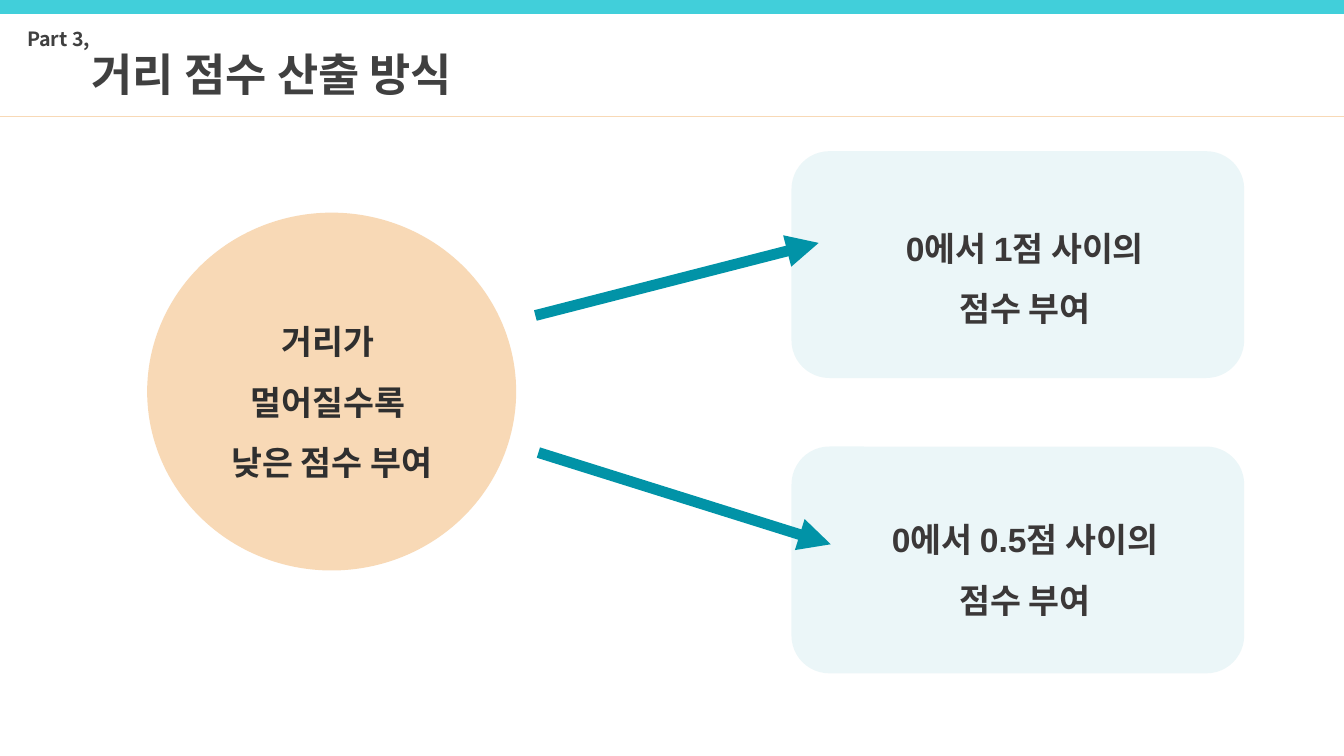
import pptx
import pptx.dml.color
import pptx.enum.shapes
import pptx.enum.text
import pptx.util
from lxml import etree
from pptx.oxml.ns import qn

WIDTH, HEIGHT = 13.33, 7.5
KOREAN_FONT = "Noto Sans CJK KR"
TEAL, PEACH, DARK_GRAY = "0193A7", "F8D9B6", "404040"
SHAPES = pptx.enum.shapes.MSO_SHAPE
ALIGN = pptx.enum.text.PP_ALIGN
ANCHOR = pptx.enum.text.MSO_ANCHOR
inches = pptx.util.Inches


def color(hex_value):
    return pptx.dml.color.RGBColor.from_string(hex_value)


def write(shape, text, size, font_name, hex_value, align=ALIGN.LEFT, spacing=None,
          anchor=ANCHOR.TOP, wrap=True, grow=True):
    """Fill the shape with bold text, one paragraph per line."""
    frame = shape.text_frame
    frame.text = text
    frame.word_wrap = wrap
    frame.vertical_anchor = anchor
    auto_size = pptx.enum.text.MSO_AUTO_SIZE
    frame.auto_size = auto_size.SHAPE_TO_FIT_TEXT if grow else auto_size.NONE
    for paragraph in frame.paragraphs:
        paragraph.alignment = align
        if spacing:
            paragraph.line_spacing = spacing
        for run in paragraph.runs:
            run.font.size = pptx.util.Pt(size)
            run.font.bold = True
            run.font.name = font_name
            run.font.color.rgb = color(hex_value)
            east_asian = etree.SubElement(run.font._element, qn("a:ea"))
            east_asian.set("typeface", KOREAN_FONT)


def add_panel(slide, kind, box, hex_value, opacity=None):
    """Add a borderless filled shape; opacity is a share of one."""
    shape = slide.shapes.add_shape(kind, *map(inches, box))
    shape.shadow.inherit = False
    shape.line.fill.background()
    shape.fill.solid()
    shape.fill.fore_color.rgb = color(hex_value)
    if opacity:
        fill_color = shape._element.spPr.find(".//" + qn("a:srgbClr"))
        alpha = etree.SubElement(fill_color, qn("a:alpha"))
        alpha.set("val", str(round(opacity * 100000)))
    return shape


def add_line(slide, start, end, hex_value, weight, arrow=False):
    line = slide.shapes.add_connector(
        pptx.enum.shapes.MSO_CONNECTOR.STRAIGHT, *map(inches, (*start, *end)))
    line.line.color.rgb = color(hex_value)
    line.line.width = pptx.util.Pt(weight)
    if arrow:
        tail = etree.SubElement(line.line._get_or_add_ln(), qn("a:tailEnd"))
        tail.set("type", "triangle")
    etree.SubElement(line._element.spPr, qn("a:effectLst"))


def add_header(slide, box, part, title):
    left, top, width, height = box
    add_panel(slide, SHAPES.RECTANGLE, (left, top, width, 0.12 * height), "41CFDA")
    add_line(slide, (left, top + height), (left + width, top + height), PEACH, 0.5)
    part_box = slide.shapes.add_textbox(
        *map(inches, (left + 0.17, top + 0.22, 1.89, 0.34)))
    write(part_box, part, 14, KOREAN_FONT, DARK_GRAY)
    heading = slide.shapes.title
    heading.left, heading.top, heading.width, heading.height = map(
        inches, (left + 0.81, top + 0.41, 4.27, 0.64))
    write(heading, title, 32, KOREAN_FONT, DARK_GRAY, wrap=False)


def add_rule_circle(slide, box, text):
    circle = add_panel(slide, SHAPES.FLOWCHART_CONNECTOR, box, PEACH)
    write(circle, text, 24, "Arial", "2F2F2F", ALIGN.CENTER, 1.5,
          ANCHOR.MIDDLE, grow=False)


def add_score_card(slide, box, text, text_top, arrow_start, arrow_end):
    """Add a card with its arrow; offsets count from the card's top left corner."""
    left, top, width, height = box
    add_panel(slide, SHAPES.ROUNDED_RECTANGLE, box, TEAL, opacity=0.08)
    start, end = ((left + x, top + y) for x, y in (arrow_start, arrow_end))
    add_line(slide, start, end, TEAL, 7.75, arrow=True)
    text_width = 3.43
    text_left = left + 0.6
    label = slide.shapes.add_textbox(
        *map(inches, (text_left, top + text_top, text_width, 1.24)))
    write(label, text, 24, "Arial", "3B3838", ALIGN.CENTER, 1.5)


def main():
    presentation = pptx.Presentation()
    presentation.slide_width = inches(WIDTH)
    presentation.slide_height = inches(HEIGHT)
    slide = presentation.slides.add_slide(presentation.slide_layouts[5])

    add_header(slide, (0, 0, WIDTH, 1.15), "Part 3,", "거리 점수 산출 방식")
    add_rule_circle(slide, (1.46, 2.11, 3.66, 3.55),
                    "거리가 \n멀어질수록 \n낮은 점수 부여")
    cards = [
        ("0에서 1점 사이의\n점수 부여", 0.51, (-2.54, 1.63), (0.27, 0.91)),
        ("0에서 0.5점 사이의 점수 부여", 0.47, (-2.51, 0.06), (0.39, 0.97)),
    ]
    for row, card in enumerate(cards):
        add_score_card(slide, (7.85, 1.5 + 2.93 * row, 4.49, 2.25), *card)

    presentation.save("out.pptx")


if __name__ == "__main__":
    main()
